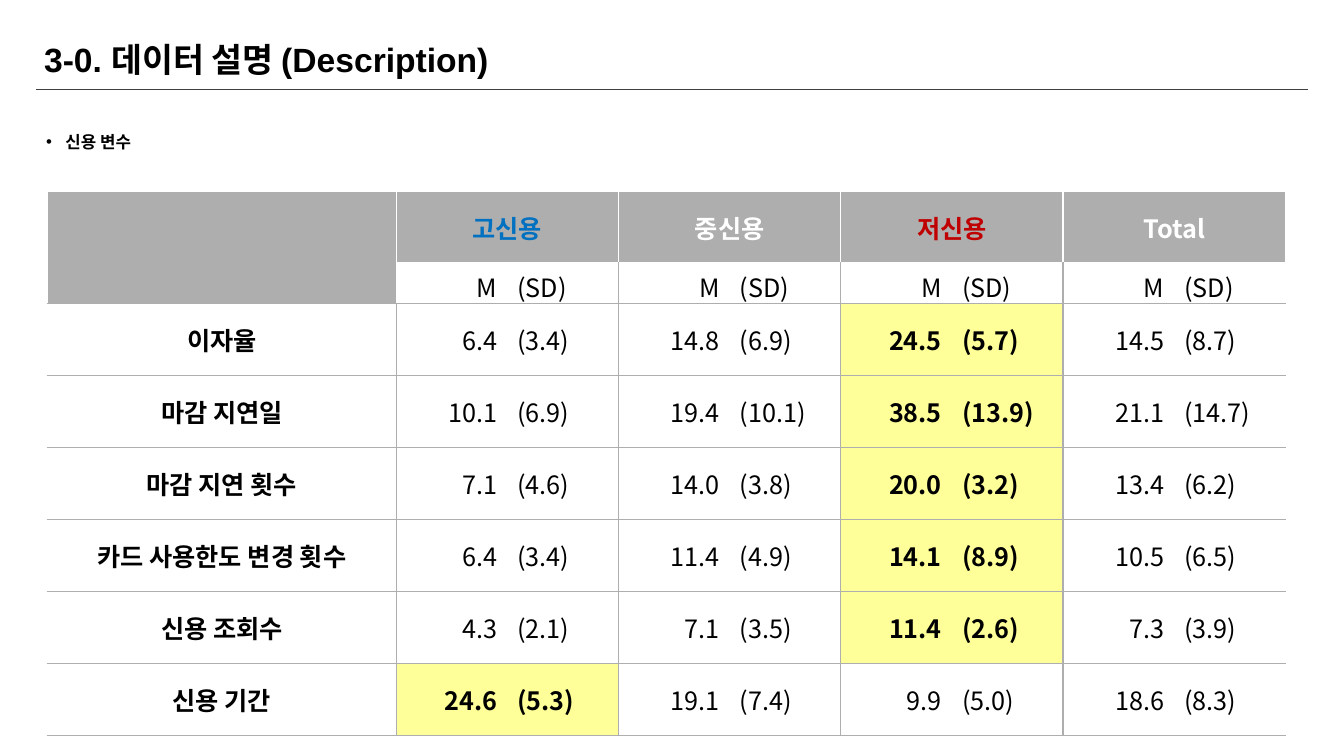
from dataclasses import dataclass
from typing import NamedTuple

from lxml.etree import SubElement
from pptx import Presentation
from pptx.dml.color import RGBColor
from pptx.enum.shapes import MSO_CONNECTOR as Connector
from pptx.enum.text import MSO_ANCHOR as Anchor, PP_ALIGN as Align
from pptx.oxml.ns import qn
from pptx.util import Emu, Inches, Pt

SLIDE_WIDTH, SLIDE_HEIGHT = Inches(13.33), Inches(7.5)
GRID = 100
KOREAN = "Noto Sans CJK KR"
BLACK, WHITE, GRAY, YELLOW = "000000", "FFFFFF", "AEAEAE", "FFFF99"
LABEL_COLUMN, VALUE_COLUMN = 25.95, 8.27
TALL_ROW, SHORT_ROW = 9.52, 4.7


class Area(NamedTuple):
    column: float
    row: float
    columns: float
    rows: float


@dataclass
class Group:
    name: str
    color: str


@dataclass
class Variable:
    name: str
    values: list[tuple[str, str]]
    highlight: int


class Edge(NamedTuple):
    color: str | None
    width: float = 1


GROUPS = [
    Group("고신용", "0070C0"),
    Group("중신용", WHITE),
    Group("저신용", "C00000"),
    Group("Total", WHITE),
]
VARIABLES = [
    Variable("이자율", [("6.4", "3.4"), ("14.8", "6.9"), ("24.5", "5.7"), ("14.5", "8.7")], 2),
    Variable("마감 지연일", [("10.1", "6.9"), ("19.4", "10.1"), ("38.5", "13.9"), ("21.1", "14.7")], 2),
    Variable("마감 지연 횟수", [("7.1", "4.6"), ("14.0", "3.8"), ("20.0", "3.2"), ("13.4", "6.2")], 2),
    Variable("카드 사용한도 변경 횟수", [("6.4", "3.4"), ("11.4", "4.9"), ("14.1", "8.9"), ("10.5", "6.5")], 2),
    Variable("신용 조회수", [("4.3", "2.1"), ("7.1", "3.5"), ("11.4", "2.6"), ("7.3", "3.9")], 2),
    Variable("신용 기간", [("24.6", "5.3"), ("19.1", "7.4"), ("9.9", "5.0"), ("18.6", "8.3")], 0),
]


def across(columns: float) -> Emu:
    return Emu(round(SLIDE_WIDTH * columns / GRID))


def down(rows: float) -> Emu:
    return Emu(round(SLIDE_HEIGHT * rows / GRID))


def place(area: Area) -> tuple[Emu, Emu, Emu, Emu]:
    return across(area.column), down(area.row), across(area.columns), down(area.rows)


def paint(color_format, color: str) -> None:
    color_format.rgb = RGBColor.from_string(color)


def style_text(frame, size: float, color: str = BLACK, bold: bool = True, font: str = KOREAN) -> None:
    for para in frame.paragraphs:
        for span in para.runs:
            span.font.size, span.font.bold, span.font.name = Pt(size), bold, font
            paint(span.font.color, color)
            SubElement(span.font._element, qn("a:ea"), typeface=KOREAN)


def add_text(page, area: Area, text: str, anchor: Anchor, size: float, font: str = KOREAN):
    frame = page.shapes.add_textbox(*place(area)).text_frame
    frame.word_wrap = True
    frame.vertical_anchor = anchor
    frame.text = text
    style_text(frame, size, font=font)
    return frame.paragraphs[0]


def add_bullet(para, indent: float) -> None:
    para.line_spacing = 1.5
    properties = para._p.get_or_add_pPr()
    properties.set("marL", str(Inches(indent)))
    properties.set("indent", str(-Inches(indent)))
    SubElement(properties, qn("a:buFont"), typeface="Arial")
    SubElement(properties, qn("a:buChar"), char="•")


def add_rule(page, area: Area, color: str) -> None:
    left, top, width, height = place(area)
    rule = page.shapes.add_connector(Connector.STRAIGHT, left, top, left + width, top + height)
    rule.line.width = Pt(1)
    paint(rule.line.color, color)
    SubElement(rule._element.spPr, qn("a:effectLst"))


def cell_edges(row: int, column: int, last: int) -> dict[str, Edge]:
    gray, white, hidden = Edge(GRAY), Edge(WHITE), Edge(None)
    if row == 0:
        return {"L": white, "R": white, "T": white, "B": Edge(WHITE, 3) if column else gray}
    top = white if row == 1 else gray
    if column == 0:
        return {"L": white, "R": white if row == 1 else gray, "T": top, "B": gray}
    if column % 2:
        left = white if (row, column) == (1, 1) else gray
        return {"L": left, "R": hidden, "T": top, "B": gray}
    return {"L": hidden, "R": white if column == last else gray, "T": top, "B": gray}


def draw_edges(cell, edges: dict[str, Edge]) -> None:
    properties = cell._tc.get_or_add_tcPr()
    for side, edge in edges.items():
        line = SubElement(properties, qn(f"a:ln{side}"), w=str(Pt(edge.width)))
        if edge.color:
            fill = SubElement(line, qn("a:solidFill"))
            SubElement(fill, qn("a:srgbClr"), val=edge.color)
        else:
            SubElement(line, qn("a:noFill"))


def fill_cell(cell, color: str | None) -> None:
    if color:
        cell.fill.solid()
        paint(cell.fill.fore_color, color)
    else:
        cell.fill.background()


def write_cell(cell, text: str, align: Align, color: str = BLACK, bold: bool = False) -> None:
    cell.text_frame.text = text
    cell.text_frame.paragraphs[0].alignment = align
    style_text(cell.text_frame, 18, color, bold)


def write_pair(table, row: int, group: int, mean: str, deviation: str, highlight: bool = False) -> None:
    for offset, (text, align) in enumerate([(mean, Align.RIGHT), (f"({deviation})", Align.LEFT)]):
        cell = table.cell(row, 1 + 2 * group + offset)
        write_cell(cell, text, align, bold=highlight)
        fill_cell(cell, YELLOW if highlight else None)


def add_statistics(page, area: Area) -> None:
    row_count, column_count = 2 + len(VARIABLES), 1 + 2 * len(GROUPS)
    table = page.shapes.add_table(row_count, column_count, *place(area)).table
    table.first_row = table.horz_banding = False
    for index, column in enumerate(table.columns):
        column.width = across(VALUE_COLUMN if index else LABEL_COLUMN)
    for index, row in enumerate(table.rows):
        row.height = down(SHORT_ROW if index == 1 else TALL_ROW)
    for row in range(row_count):
        for column in range(column_count):
            cell = table.cell(row, column)
            cell.vertical_anchor = Anchor.MIDDLE
            draw_edges(cell, cell_edges(row, column, column_count - 1))
            fill_cell(cell, GRAY if row == 0 or (row, column) == (1, 0) else None)
    table.cell(0, 0).merge(table.cell(1, 0))
    for index, group in enumerate(GROUPS):
        heading = table.cell(0, 1 + 2 * index)
        heading.merge(table.cell(0, 2 + 2 * index))
        write_cell(heading, group.name, Align.CENTER, group.color, True)
        write_pair(table, 1, index, "M", "SD")
    for row, variable in enumerate(VARIABLES, start=2):
        write_cell(table.cell(row, 0), variable.name, Align.CENTER, bold=True)
        for index, (mean, deviation) in enumerate(variable.values):
            write_pair(table, row, index, mean, deviation, index == variable.highlight)


def main() -> None:
    deck = Presentation()
    deck.slide_width, deck.slide_height = SLIDE_WIDTH, SLIDE_HEIGHT
    page = deck.slides.add_slide(deck.slide_layouts[6])
    add_text(page, Area(2.55, 2.4, 94.73, 10.93), "3-0. 데이터 설명 (Description)", Anchor.MIDDLE, 24, "Arial")
    add_rule(page, Area(2.7, 11.87, 94.65, 0), "404040")
    add_bullet(add_text(page, Area(2.7, 11.87, 92.4, 8.93), "신용 변수", Anchor.BOTTOM, 12), 0.19)
    add_statistics(page, Area(3.53, 25.33, 92.11, 71.34))
    deck.save("out.pptx")


if __name__ == "__main__":
    main()
